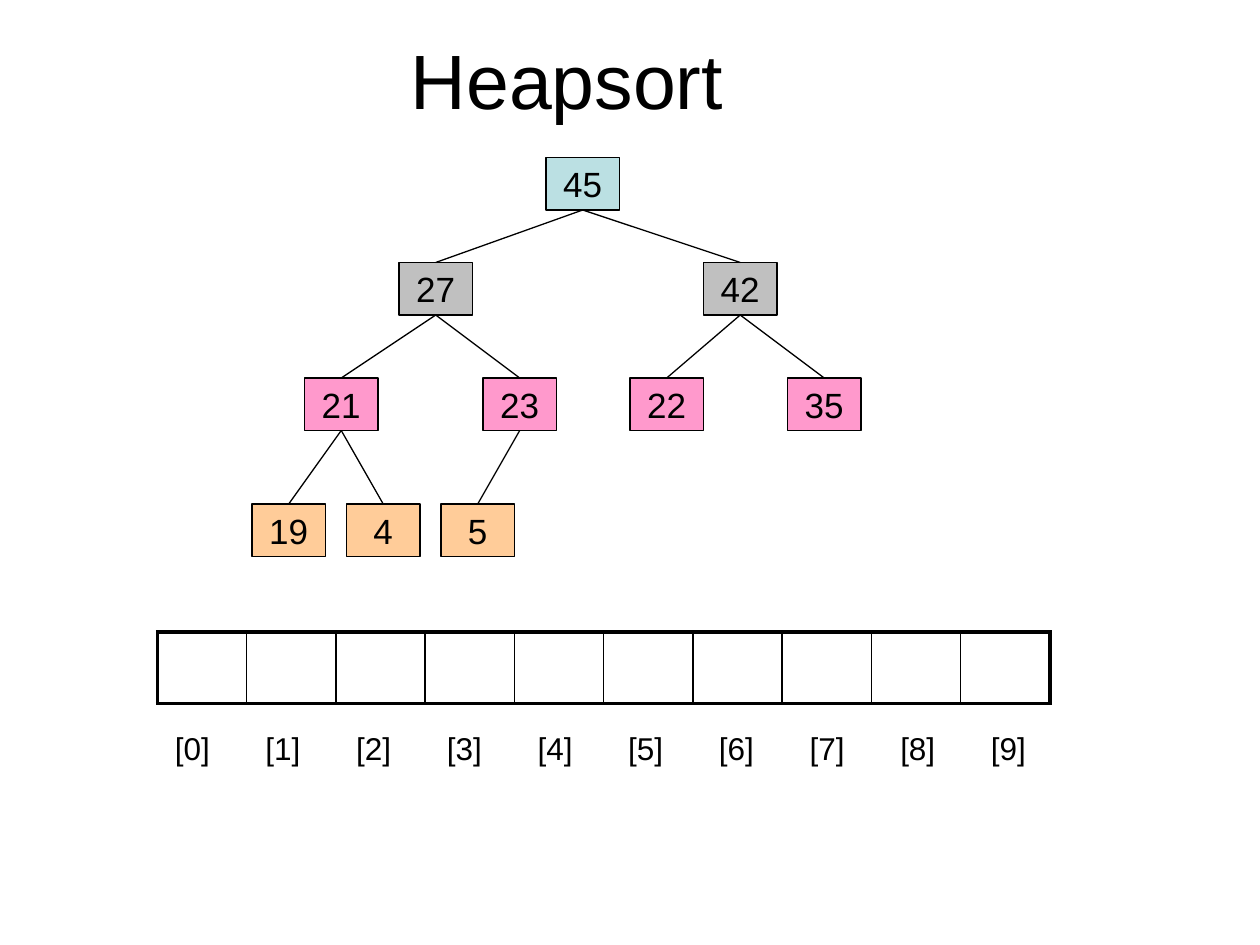
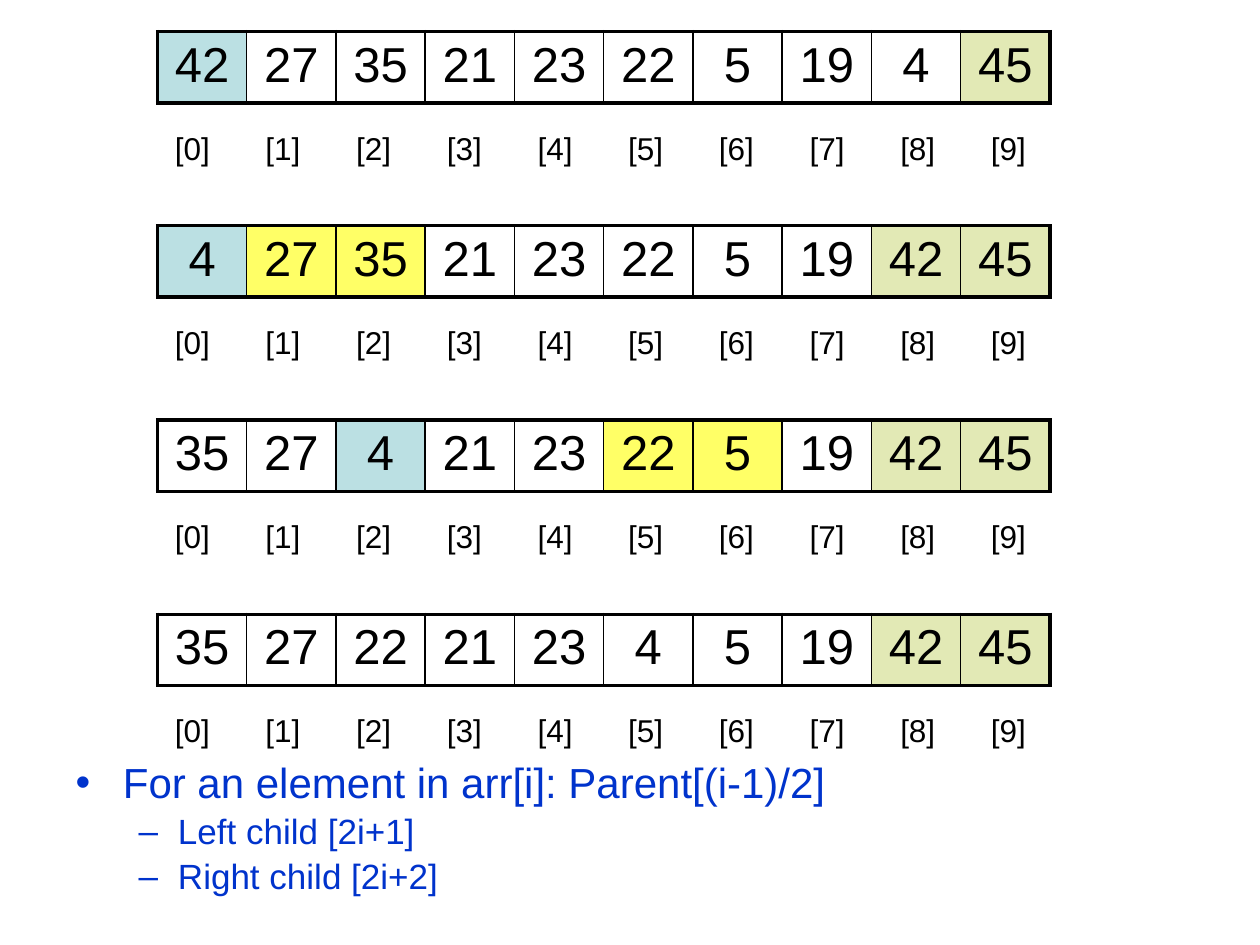
"""Build two heapsort slides: the heap as a tree, and the array while sorting."""
from lxml import etree
from pptx import Presentation
from pptx.dml.color import RGBColor
from pptx.enum.shapes import MSO_CONNECTOR, MSO_SHAPE
from pptx.enum.text import MSO_ANCHOR, PP_ALIGN
from pptx.oxml.ns import qn
from pptx.util import Emu, Pt

PX = 7620
FONT = "Arial"
COLORS = {
    "ink": "000000",
    "root": "BBE0E3",
    "inner": "C0C0C0",
    "lower": "FF99CC",
    "leaf": "FFCC99",
    "sifted": "BBE0E3",
    "children": "FFFF66",
    "sorted": "E2E9B5",
    "note": "0033CC",
}
RECTANGLE = MSO_SHAPE.RECTANGLE
STRAIGHT = MSO_CONNECTOR.STRAIGHT
MIDDLE = MSO_ANCHOR.MIDDLE
TOP = MSO_ANCHOR.TOP
CENTER = PP_ALIGN.CENTER
TOP_SITE, BOTTOM_SITE = 0, 2
TITLE_ONLY, TITLE_AND_CONTENT = 5, 1
NO_TABLE_STYLE = "{2D5ABB26-0587-4C30-8999-92F81FD0307C}"

NODE_WIDTH, NODE_HEIGHT = 70, 50
LEVELS = [(150, "root"), (250, "inner"), (360, "lower"), (480, "leaf")]
HEAP = [(45, 520), (27, 380), (42, 670), (21, 290), (23, 460),
        (22, 600), (35, 750), (19, 240), (4, 330), (5, 420)]

ARRAY_SIZE = len(HEAP)
INDEX_OFFSET = 88
FIRST_STEP_TOP, STEP_GAP = 30, 185
STEPS = [
    ([42, 27, 35, 21, 23, 22, 5, 19, 4, 45],
     {0: "sifted", 9: "sorted"}),
    ([4, 27, 35, 21, 23, 22, 5, 19, 42, 45],
     {0: "sifted", 1: "children", 2: "children", 8: "sorted", 9: "sorted"}),
    ([35, 27, 4, 21, 23, 22, 5, 19, 42, 45],
     {2: "sifted", 5: "children", 6: "children", 8: "sorted", 9: "sorted"}),
    ([35, 27, 22, 21, 23, 4, 5, 19, 42, 45],
     {8: "sorted", 9: "sorted"}),
]
NOTES = [
    ("For an element in arr[i]: Parent[(i-1)/2]", 0, 24),
    ("Left child [2i+1]", 1, 20),
    ("Right child [2i+2]", 1, 20),
]


def px(*lengths):
    """Turn px lengths into EMU."""
    return [Emu(length * PX) for length in lengths]


def color(name):
    """Look up a named colour."""
    return RGBColor.from_string(COLORS[name])


def format_runs(paragraph, size, color_name="ink"):
    """Give every run of a paragraph its font, size and colour."""
    for run in paragraph.runs:
        run.font.name = FONT
        run.font.size = Pt(size)
        run.font.color.rgb = color(color_name)


def write_centered(text_frame, text, size):
    """Write one centred paragraph."""
    text_frame.text = text
    paragraph = text_frame.paragraphs[0]
    paragraph.alignment = CENTER
    format_runs(paragraph, size)


def place(shape, left, top, width, height):
    """Move and size a shape."""
    shape.left, shape.top, shape.width, shape.height = px(left, top, width, height)


def set_line(line):
    """Draw a thin line in ink."""
    line.color.rgb = color("ink")
    line.width = Pt(0.75)


def add_node(slide, value, left, level):
    """Add one tree node."""
    top, color_name = LEVELS[level]
    node = slide.shapes.add_shape(RECTANGLE, *px(left, top, NODE_WIDTH, NODE_HEIGHT))
    node.shadow.inherit = False
    node.fill.solid()
    node.fill.fore_color.rgb = color(color_name)
    set_line(node.line)
    node.text_frame.word_wrap = False
    node.text_frame.vertical_anchor = MIDDLE
    write_centered(node.text_frame, str(value), 20)
    return node


def add_branch(slide, parent, child):
    """Join the bottom of a parent to the top of its child."""
    branch = slide.shapes.add_connector(STRAIGHT, 0, 0, 0, 0)
    branch.begin_connect(parent, BOTTOM_SITE)
    branch.end_connect(child, TOP_SITE)
    set_line(branch.line)
    etree.SubElement(branch.element.find(qn("p:spPr")), qn("a:effectLst"))


def add_heap_tree(slide):
    """Add all nodes in heap order, then the branches between them."""
    nodes = [add_node(slide, value, left, (index + 1).bit_length() - 1)
             for index, (value, left) in enumerate(HEAP)]
    for index in range(1, len(nodes)):
        add_branch(slide, nodes[(index - 1) // 2], nodes[index])


def set_borders(cell, widths):
    """Set the left, right, top and bottom borders of a cell, in points."""
    properties = cell._tc.get_or_add_tcPr()
    for position, (side, width) in enumerate(zip("LRTB", widths)):
        border = etree.Element(qn(f"a:ln{side}"), w=str(Pt(width)))
        fill = etree.SubElement(border, qn("a:solidFill"))
        etree.SubElement(fill, qn("a:srgbClr"), val=COLORS["ink"])
        properties.insert(position, border)


def add_row(slide, box, texts, size, anchor, fills):
    """Add a one-row table of equal cells."""
    table = slide.shapes.add_table(1, len(texts), *px(*box)).table
    table.first_row = table.horz_banding = False
    table._tbl.tblPr.find(qn("a:tableStyleId")).text = NO_TABLE_STYLE
    for index, text in enumerate(texts):
        cell = table.cell(0, index)
        cell.vertical_anchor = anchor
        write_centered(cell.text_frame, text, size)
        if index in fills:
            cell.fill.solid()
            cell.fill.fore_color.rgb = color(fills[index])
        else:
            cell.fill.background()
    return table


def add_array(slide, top, values, fills):
    """Add an array with its index labels below."""
    array = add_row(slide, (150, top, 850, 68), [str(value) for value in values],
                    28, TOP, fills)
    last = ARRAY_SIZE - 1
    for index in range(ARRAY_SIZE):
        left_width = 2.25 if index == 0 else 1
        right_width = 2.25 if index == last else 1
        set_borders(array.cell(0, index), (left_width, right_width, 2.25, 2.25))
    labels = [f"[{index}]" for index in range(ARRAY_SIZE)]
    add_row(slide, (140, top + INDEX_OFFSET, 864, 48), labels, 18, MIDDLE, {})


def write_notes(body):
    """Write the bulleted index rules."""
    place(body, 60, 720, 1080, 150)
    text_frame = body.text_frame
    text_frame.text = "\n".join(text for text, _, _ in NOTES)
    for paragraph, (_, level, size) in zip(text_frame.paragraphs, NOTES):
        paragraph.level = level
        paragraph.line_spacing = 0.9
        paragraph.space_before = Pt(4 if level else 0)
        format_runs(paragraph, size, "note")


def build_tree_slide(presentation):
    """Show the heap as a tree above an empty array."""
    slide = presentation.slides.add_slide(presentation.slide_layouts[TITLE_ONLY])
    title = slide.shapes.title
    place(title, 0, 0, 1080, 150)
    title.text_frame.vertical_anchor = MIDDLE
    write_centered(title.text_frame, "Heapsort", 44)
    add_heap_tree(slide)
    add_array(slide, 602, [""] * ARRAY_SIZE, {})


def build_steps_slide(presentation):
    """Show the array at each step, with the index rules."""
    slide = presentation.slides.add_slide(presentation.slide_layouts[TITLE_AND_CONTENT])
    title = slide.shapes.title.element
    title.getparent().remove(title)
    for number, (values, fills) in enumerate(STEPS):
        add_array(slide, FIRST_STEP_TOP + number * STEP_GAP, values, fills)
    write_notes(slide.placeholders[1])


def main():
    """Build and save the presentation."""
    presentation = Presentation()
    presentation.slide_width, presentation.slide_height = px(1200, 900)
    build_tree_slide(presentation)
    build_steps_slide(presentation)
    presentation.save("out.pptx")


if __name__ == "__main__":
    main()
